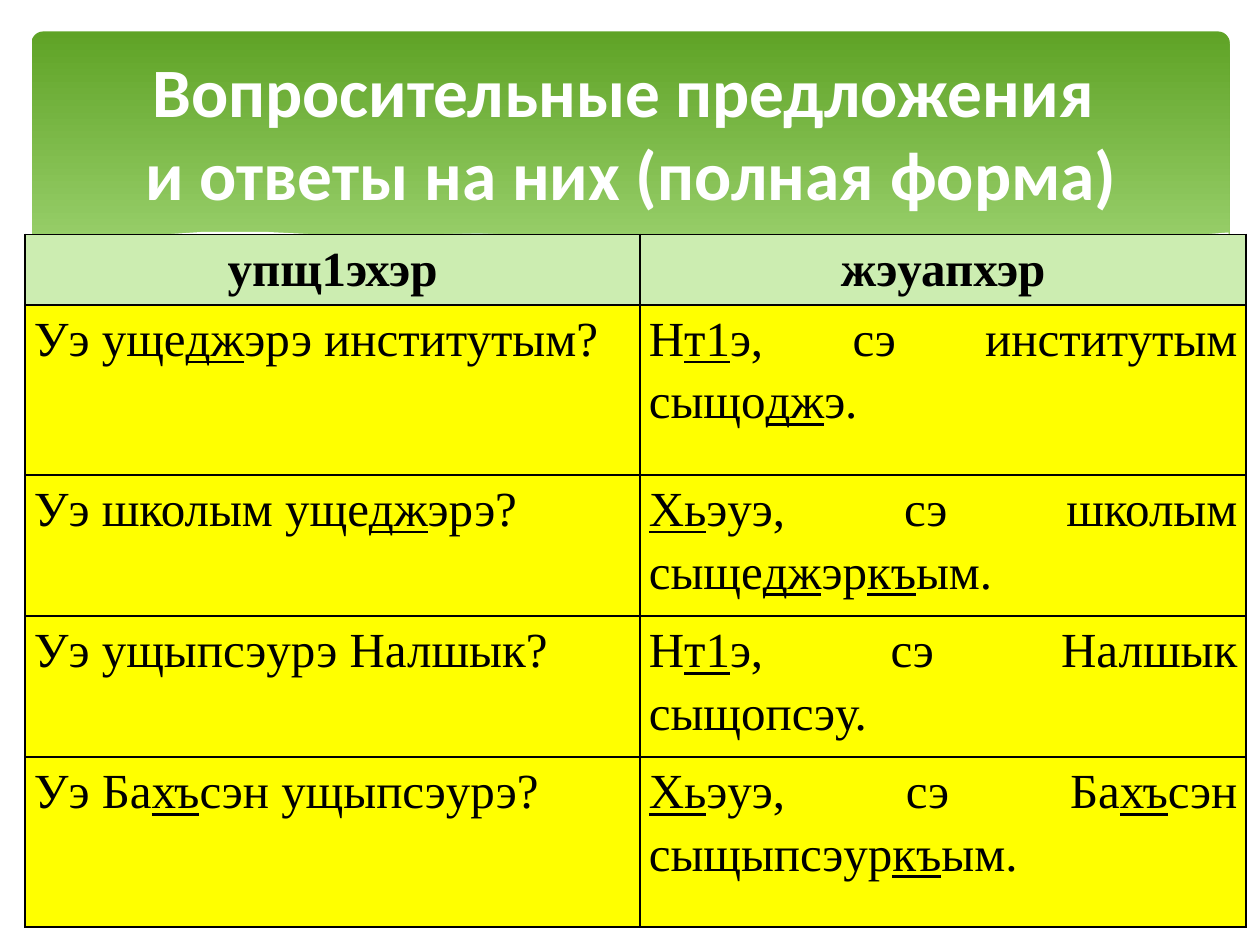
from lxml import etree
from pptx import Presentation
from pptx import util as u
from pptx.dml.color import RGBColor
from pptx.enum import shapes, text
from pptx.oxml import ns

WHITE = RGBColor(0xFF, 0xFF, 0xFF)
BLACK = RGBColor(0, 0, 0)
GREEN = RGBColor(0x5F, 0xA3, 0x26)
LIGHT_GREEN = RGBColor(0xB2, 0xE3, 0x89)
HEADER_GREEN = RGBColor(0xCC, 0xED, 0xB1)
YELLOW = RGBColor(0xFF, 0xFF, 0)
PALE_BLUE = RGBColor(0xD6, 0xEC, 0xFF)


def write_text(frame, content, font="Calibri", size=28, color=BLACK, bold=False,
               align=text.PP_ALIGN.CENTER, spacing=None):
    """Fill the first paragraph; _marks_ underline, a newline breaks the line."""
    para = frame.paragraphs[0]
    para.alignment = align
    if spacing:
        para.line_spacing = spacing
    for line_number, line in enumerate(content.split("\n")):
        if line_number:
            para.add_line_break()
        for part_number, part in enumerate(line.split("_")):
            if not part:
                continue
            span = para.add_run()
            span.text = part
            span.font.name = font
            span.font.size = u.Pt(size)
            span.font.bold = bold
            span.font.underline = part_number % 2 == 1
            span.font.color.rgb = color


def draw_wave(page, points, fill=None, opacity=100):
    """Draw a closed filled wave, or an open white hairline without a fill."""
    spots = [(u.Inches(x), u.Inches(y)) for x, y in points]
    builder = page.shapes.build_freeform(*spots[0])
    builder.add_line_segments(spots[1:], close=fill is not None)
    wave = builder.convert_to_shape()
    wave.shadow.inherit = False
    if fill is None:
        wave.fill.background()
        wave.line.color.rgb = WHITE
        wave.line.width = u.Pt(0)
        return
    wave.line.fill.background()
    wave.fill.solid()
    wave.fill.fore_color.rgb = fill
    if opacity < 100:
        tint = wave._element.spPr.find(".//" + ns.qn("a:srgbClr"))
        etree.SubElement(tint, ns.qn("a:alpha"), val=str(opacity * 1000))


deck = Presentation()
deck.slide_width, deck.slide_height = u.Inches(10), u.Inches(7.5)
page = deck.slides.add_slide(deck.slide_layouts[5])

# Green banner
banner = page.shapes.add_shape(shapes.MSO_SHAPE.ROUNDED_RECTANGLE, u.Inches(0.25),
                               u.Inches(0.25), u.Inches(9.51), u.Inches(2.7))
banner.adjustments[0] = 0.034
banner.shadow.inherit = False
banner.line.fill.background()
banner.fill.gradient()
banner.fill.gradient_angle = 270
for stop, color, position in zip(banner.fill.gradient_stops, (GREEN, LIGHT_GREEN), (0, 0.9)):
    stop.color.rgb = color
    stop.position = position

# Waves along the lower edge of the banner
draw_wave(page, [(9.76, 2), (9.35, 2.07), (8.61, 2.23), (7.79, 2.42), (6.61, 2.65),
                 (7.19, 2.72), (7.69, 2.77), (8.14, 2.78), (8.63, 2.75), (9.05, 2.69),
                 (9.42, 2.59), (9.76, 2.47)], PALE_BLUE, 29)
draw_wave(page, [(8.93, 2.73), (8.37, 2.65), (7.75, 2.54), (7.06, 2.4), (6.29, 2.22),
                 (5.69, 2.08), (5.14, 1.98), (4.65, 1.91), (4.2, 1.87), (3.8, 1.85),
                 (3.44, 1.86), (2.86, 1.91), (3.42, 1.99), (4.04, 2.11), (4.91, 2.32),
                 (5.66, 2.48), (6.34, 2.61), (6.95, 2.7), (7.48, 2.76), (7.96, 2.78),
                 (8.48, 2.77)], PALE_BLUE, 40)
draw_wave(page, [(3.09, 1.95), (3.53, 1.89), (4.01, 1.87), (4.5, 1.88), (5.1, 1.92),
                 (5.82, 2), (6.65, 2.13), (7.6, 2.33), (8.31, 2.51), (9.07, 2.72)])
draw_wave(page, [(6.13, 2.57), (6.95, 2.35), (7.76, 2.16), (8.36, 2.04), (8.95, 1.94),
                 (9.38, 1.88), (9.75, 1.85)])
draw_wave(page, [(9.77, 2.46), (9.4, 2.59), (8.99, 2.69), (8.5, 2.75), (8.09, 2.77),
                 (7.44, 2.74), (6.68, 2.65), (5.79, 2.5), (5.03, 2.33), (4.18, 2.13),
                 (3.4, 1.97), (2.92, 1.9), (2.5, 1.86), (2.11, 1.84), (1.61, 1.84),
                 (1.32, 1.86), (1.06, 1.89), (0.76, 1.95), (0.46, 2.03), (0.23, 2.13),
                 (0.23, 3.29), (9.77, 3.29)], WHITE)

# Table of questions and answers
rows = [
    ("упщ1эхэр", "жэуапхэр"),
    ("Уэ уще_дж_эрэ институтым?", "Н_т1_э, сэ институтым сыщо_дж_э."),
    ("Уэ школым уще_дж_эрэ?", "_Хь_эуэ, сэ школым сыще_дж_эр_къ_ым."),
    ("Уэ ущыпсэурэ Налшык?", "Н_т1_э, сэ Налшык сыщопсэу."),
    ("Уэ Ба_хъ_сэн ущыпсэурэ?", "_Хь_эуэ, сэ Ба_хъ_сэн сыщыпсэур_къ_ым."),
]
table = page.shapes.add_table(len(rows), 2, u.Inches(0.2), u.Inches(1.86),
                              u.Inches(9.69), u.Inches(5.5)).table
for column, width in zip(table.columns, (4.88, 4.81)):
    column.width = u.Inches(width)
for row, height in zip(table.rows, (0.56, 1.35, 1.12, 1.12, 1.35)):
    row.height = u.Inches(height)

for row_number, row in enumerate(rows):
    is_header = row_number == 0
    for column_number, content in enumerate(row):
        cell = table.cell(row_number, column_number)
        cell.margin_left = cell.margin_right = u.Inches(0.07)
        cell.margin_top = cell.margin_bottom = 0
        for side in ("lnL", "lnR", "lnT", "lnB"):
            border = etree.SubElement(cell._tc.get_or_add_tcPr(), ns.qn("a:" + side),
                                      w=str(u.Pt(1)))
            paint = etree.SubElement(border, ns.qn("a:solidFill"))
            etree.SubElement(paint, ns.qn("a:srgbClr"), val=str(BLACK))
        cell.fill.solid()
        cell.fill.fore_color.rgb = HEADER_GREEN if is_header else YELLOW
        write_text(cell.text_frame, content, font="Times New Roman", bold=is_header,
                   align=text.PP_ALIGN.CENTER if is_header else text.PP_ALIGN.JUSTIFY,
                   spacing=1.15)

# Title, in front of the banner
title = page.shapes.title
title.left, title.top = u.Inches(0.51), u.Inches(0.36)
title.width, title.height = u.Inches(9), u.Inches(1.37)
title.text_frame.vertical_anchor = text.MSO_ANCHOR.MIDDLE
title.text_frame.auto_size = text.MSO_AUTO_SIZE.NONE
write_text(title.text_frame, "Вопросительные предложения \nи ответы на них (полная форма)",
           size=39.6, color=WHITE, bold=True)
page.shapes._spTree.append(title._element)

deck.save("out.pptx")
